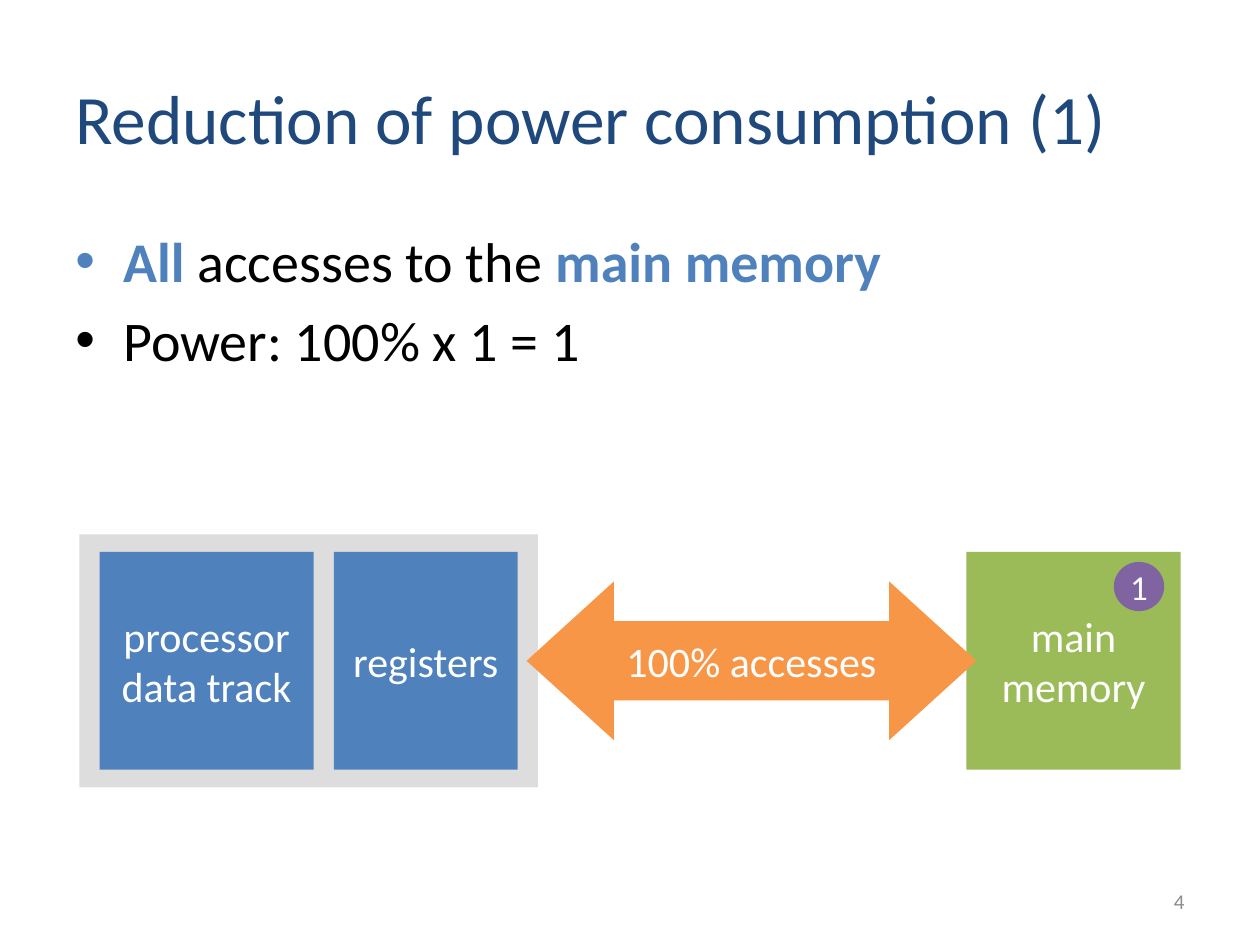
from lxml.etree import SubElement
from pptx import Presentation
from pptx.dml.color import RGBColor
from pptx.enum.shapes import MSO_SHAPE as Shape
from pptx.enum.text import MSO_ANCHOR as Anchor, PP_ALIGN as Align
from pptx.oxml.ns import qn
from pptx.util import Inches, Pt

COLORS = {
    "title": "1F497D", "accent": "4F81BD", "text": "000000", "white": "FFFFFF",
    "chip": "DDDDDD", "processor": "4F81BD", "memory": "9BBB59",
    "access": "F79646", "badge": "8064A2", "number": "8C8C8C",
}
FONT = "Calibri"

# Each paragraph is a list of runs: (text, color, bold)
TITLE = [[("Reduction of power consumption (1)", "title", False)]]
BULLETS = [
    [("All", "accent", True), (" accesses to the ", "text", False),
     ("main memory", "accent", True)],
    [("Power: 100% x 1 = 1", "text", False)],
]
PAGE_NUMBER = [[("4", "number", False)]]

BLOCK_TOP, BLOCK_HEIGHT = 4.38, 1.73
CHIP_MARGIN = 0.14
AXIS = BLOCK_TOP + BLOCK_HEIGHT / 2
ARROW_HEIGHT = 1.26

# (preset, left, top, width, height, fill, lines, size, wrap), back to front
DIAGRAM = [
    (Shape.RECTANGLE, 0.63, BLOCK_TOP - CHIP_MARGIN, 3.64,
     BLOCK_HEIGHT + 2 * CHIP_MARGIN, "chip", [], 24, True),
    (Shape.RECTANGLE, 0.79, BLOCK_TOP, 1.7, BLOCK_HEIGHT,
     "processor", ["processor", "data track"], 24, True),
    (Shape.RECTANGLE, 2.65, BLOCK_TOP, 1.46, BLOCK_HEIGHT,
     "processor", ["registers"], 24, False),
    (Shape.RECTANGLE, 7.67, BLOCK_TOP, 1.7, BLOCK_HEIGHT,
     "memory", ["main memory"], 24, True),
    (Shape.LEFT_RIGHT_ARROW, 4.18, AXIS - ARROW_HEIGHT / 2, 3.57, ARROW_HEIGHT,
     "access", ["100% accesses"], 24, True),
    (Shape.OVAL, 8.84, 4.46, 0.4, 0.39, "badge", ["1"], 20, False),
]
ARROW_ADJUSTMENTS = (0.5, 0.55)


def color(name):
    return RGBColor.from_string(COLORS[name])


def write(frame, paragraphs, size, align=Align.LEFT, anchor=Anchor.MIDDLE, wrap=True):
    frame.word_wrap = wrap
    frame.vertical_anchor = anchor
    for index, runs in enumerate(paragraphs):
        paragraph = frame.add_paragraph() if index else frame.paragraphs[0]
        paragraph.alignment = align
        for text, color_name, bold in runs:
            run = paragraph.add_run()
            run.text = text
            run.font.name = FONT
            run.font.size = Pt(size)
            run.font.bold = bold
            run.font.color.rgb = color(color_name)


def add_text(slide, box, paragraphs, size, **layout):
    frame = slide.shapes.add_textbox(*map(Inches, box)).text_frame
    write(frame, paragraphs, size, **layout)
    return frame


def add_bullet(paragraph, indent=0.38):
    paragraph.space_before = Pt(6.4)
    properties = paragraph._p.get_or_add_pPr()
    properties.set("marL", str(Inches(indent)))
    properties.set("indent", str(-Inches(indent)))
    SubElement(properties, qn("a:buFont"), typeface="Arial")
    SubElement(properties, qn("a:buChar"), char="•")


def add_block(slide, preset, left, top, width, height, fill, lines, size, wrap):
    block = slide.shapes.add_shape(preset, *map(Inches, (left, top, width, height)))
    block.shadow.inherit = False
    block.fill.solid()
    block.fill.fore_color.rgb = color(fill)
    block.line.fill.background()
    if preset == Shape.LEFT_RIGHT_ARROW:
        for index, value in enumerate(ARROW_ADJUSTMENTS):
            block.adjustments[index] = value
    write(block.text_frame, [[(line, "white", False)] for line in lines],
          size, align=Align.CENTER, wrap=wrap)


def main():
    deck = Presentation()
    deck.slide_width, deck.slide_height = Inches(10), Inches(7.5)
    slide = deck.slides.add_slide(deck.slide_layouts[6])

    add_text(slide, (0.5, 0.3, 9, 1.25), TITLE, 39.6)
    body = add_text(slide, (0.5, 1.75, 9, 4.95), BULLETS, 32, anchor=Anchor.TOP)
    for paragraph in body.paragraphs:
        add_bullet(paragraph)
    for block in DIAGRAM:
        add_block(slide, *block)
    add_text(slide, (7.17, 6.95, 2.33, 0.4), PAGE_NUMBER, 12, align=Align.RIGHT)

    deck.save("out.pptx")


if __name__ == "__main__":
    main()
